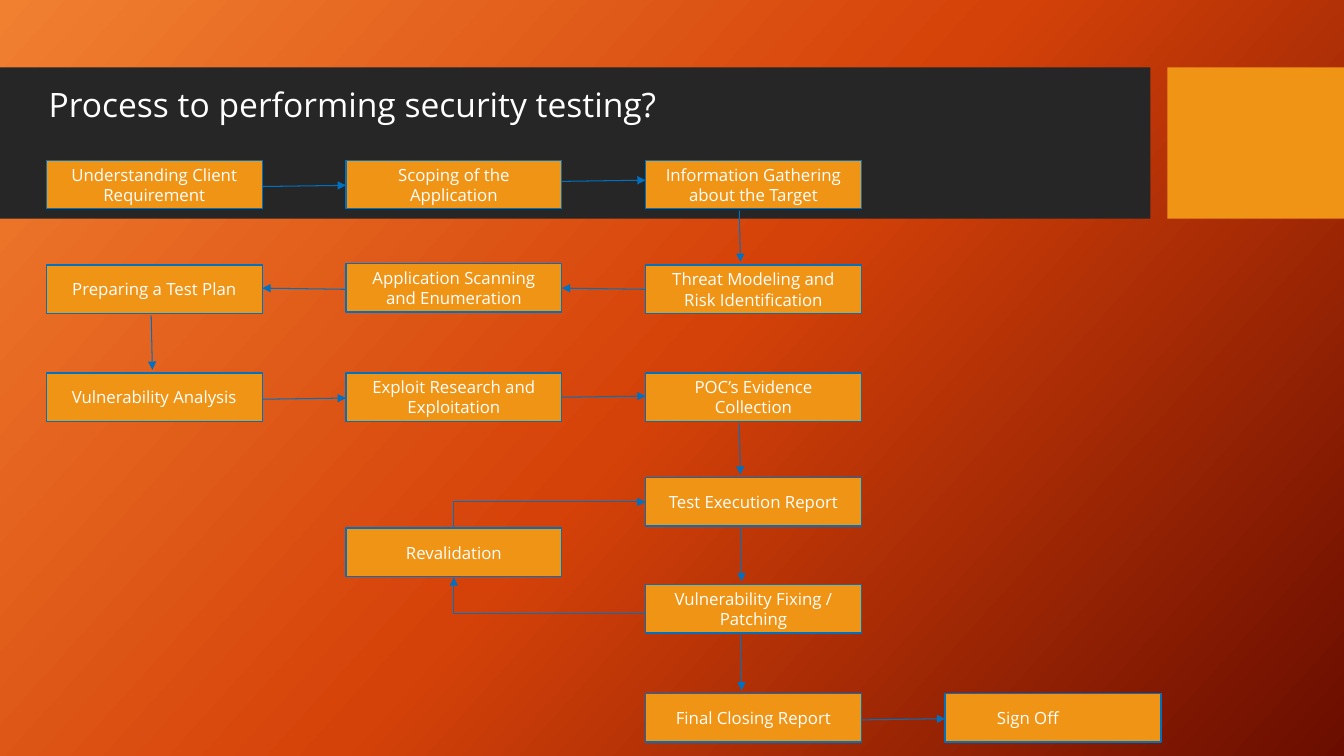
from copy import deepcopy

from lxml.etree import SubElement
from pptx import Presentation
from pptx.dml.color import RGBColor
from pptx.enum.shapes import MSO_CONNECTOR, MSO_SHAPE
from pptx.enum.text import MSO_ANCHOR, MSO_AUTO_SIZE, PP_ALIGN
from pptx.oxml.ns import qn
from pptx.util import Cm, Pt

ORANGE = RGBColor(0xF0, 0x94, 0x15)
CHARCOAL = RGBColor(0x26, 0x26, 0x26)
BLUE = RGBColor(0x00, 0x70, 0xC0)
WHITE = RGBColor(0xFF, 0xFF, 0xFF)
BACKDROP = [
    (0, RGBColor(0xF1, 0x80, 0x31)),
    (0.5, RGBColor(0xD5, 0x42, 0x09)),
    (1, RGBColor(0x6A, 0x0D, 0x00)),
]
FONT = "Open Sans"

# Flowchart grid in cm, relative to the chart's corner
STEP_WIDTH, STEP_HEIGHT = 5.44, 1.22
COLUMN_PITCH = 7.55
ROWS = [0, 2.64, 5.36, 8, 10.69, 13.44]
REVALIDATION_TOP = 9.27

# Step: column, top
STEPS = {
    "Understanding Client Requirement": (0, ROWS[0]),
    "Scoping of the Application": (1, ROWS[0]),
    "Information Gathering about the Target": (2, ROWS[0]),
    "Threat Modeling and Risk Identification": (2, ROWS[1]),
    "Application Scanning and Enumeration": (1, ROWS[1] - 0.04),
    "Preparing a Test Plan": (0, ROWS[1]),
    "Vulnerability Analysis": (0, ROWS[2]),
    "Exploit Research and Exploitation": (1, ROWS[2]),
    "POC’s Evidence Collection": (2, ROWS[2]),
    "Test Execution Report": (2, ROWS[3]),
    "Vulnerability Fixing / Patching": (2, ROWS[4]),
    "Final Closing Report": (2, ROWS[5]),
    "Sign Off": (3, ROWS[5]),
}
# Where each arrow leaves its step, measured along that step's edge
EXITS = [0.66, 0.53, 2.36, 0.61, 0.65, 2.64, 0.66, 0.61, 2.36, 2.39, 2.39, 0.66]


def paint_background(slide):
    fill = slide.background.fill
    fill.gradient()
    fill.gradient_angle = 360 - 42
    stop_list = slide.element.find(".//" + qn("a:gsLst"))
    stop_list.append(deepcopy(stop_list[0]))
    for stop, (position, color) in zip(fill.gradient_stops, BACKDROP):
        stop.position = position
        stop.color.rgb = color


def style_text(frame, size, alignment):
    for paragraph in frame.paragraphs:
        paragraph.alignment = alignment
        for run in paragraph.runs:
            run.font.name = FONT
            run.font.size = Pt(size)
            run.font.color.rgb = WHITE


def add_block(slide, left, top, width, height, color):
    block = slide.shapes.add_shape(
        MSO_SHAPE.RECTANGLE, Cm(left), Cm(top), Cm(width), Cm(height))
    block.shadow.inherit = False
    block.fill.solid()
    block.fill.fore_color.rgb = color
    block.line.fill.background()
    return block


def add_step(slide, left, top, label):
    step = add_block(slide, left, top, STEP_WIDTH, STEP_HEIGHT, ORANGE)
    step.line.color.rgb = BLUE
    step.line.width = Pt(1)
    frame = step.text_frame
    frame.word_wrap = True
    frame.vertical_anchor = MSO_ANCHOR.MIDDLE
    frame.text = label
    style_text(frame, 12, PP_ALIGN.CENTER)
    return step


def add_arrow(slide, start, end, elbow=None):
    """Draw an arrow; elbow is the bend's place along the width, in percent."""
    kind = MSO_CONNECTOR.STRAIGHT if elbow is None else MSO_CONNECTOR.ELBOW
    arrow = slide.shapes.add_connector(kind, *map(Cm, start + end))
    arrow.line.color.rgb = BLUE
    arrow.line.width = Pt(0.75)
    properties = arrow.element.spPr
    SubElement(properties.find(qn("a:ln")), qn("a:tailEnd"), type="triangle")
    SubElement(properties, qn("a:effectLst"))
    if elbow is not None:
        bends = properties.find(qn("a:prstGeom")).find(qn("a:avLst"))
        SubElement(bends, qn("a:gd"), name="adj1", fmla=f"val {elbow * 1000}")


def add_header(slide, left, top, width, height):
    accent_width, gap = 4.45, 0.43
    add_block(slide, left, top, width - accent_width - gap, height, CHARCOAL)
    add_block(slide, left + width - accent_width, top, accent_width, height, ORANGE)

    title = slide.shapes.title
    title.left, title.top = Cm(left + 0.97), Cm(top + 0.28)
    title.width, title.height = Cm(19.63), Cm(1.27)
    frame = title.text_frame
    frame.text = "Process to performing security testing?"
    frame.word_wrap = True
    frame.auto_size = MSO_AUTO_SIZE.NONE
    frame.vertical_anchor = MSO_ANCHOR.TOP
    style_text(frame, 24, PP_ALIGN.LEFT)
    slide.shapes.element.append(title.element)  # bring in front of the band


def add_flowchart(slide, left, top):
    # Main sequence
    corners = []
    for label, (column, offset) in STEPS.items():
        corner = (left + column * COLUMN_PITCH, top + offset)
        corners.append(corner)
        step = add_step(slide, *corner, label)
    step.text_frame.margin_right = Cm(1.52)  # "Sign Off" sits left of centre

    # Arrows from each step to the next
    for (x, y), (next_x, next_y), offset in zip(corners, corners[1:], EXITS):
        if x == next_x:
            start = (x + offset, y + STEP_HEIGHT + 0.05)
            end = (x + offset + 0.03, next_y - 0.08)
        else:
            rightward = next_x > x
            start = (x + STEP_WIDTH * rightward, y + offset)
            end = (next_x + STEP_WIDTH * (not rightward), y + offset - 0.03)
        add_arrow(slide, start, end)

    # Revalidation loop
    loop_left = left + COLUMN_PITCH
    loop_top = top + REVALIDATION_TOP
    add_step(slide, loop_left, loop_top, "Revalidation")
    center = loop_left + STEP_WIDTH / 2
    report_edge = left + 2 * COLUMN_PITCH
    add_arrow(slide, (report_edge, top + ROWS[4] + 0.74),
              (center, loop_top + STEP_HEIGHT + 0.02), elbow=100)
    add_arrow(slide, (center, loop_top),
              (report_edge, top + ROWS[3] + STEP_HEIGHT / 2), elbow=0)


presentation = Presentation()
presentation.slide_width, presentation.slide_height = Cm(33.87), Cm(19.05)
process_slide = presentation.slides.add_slide(presentation.slide_layouts[5])
paint_background(process_slide)
add_header(process_slide, 0, 1.7, 33.87, 3.81)
add_flowchart(process_slide, 1.17, 4.04)
presentation.save("out.pptx")
